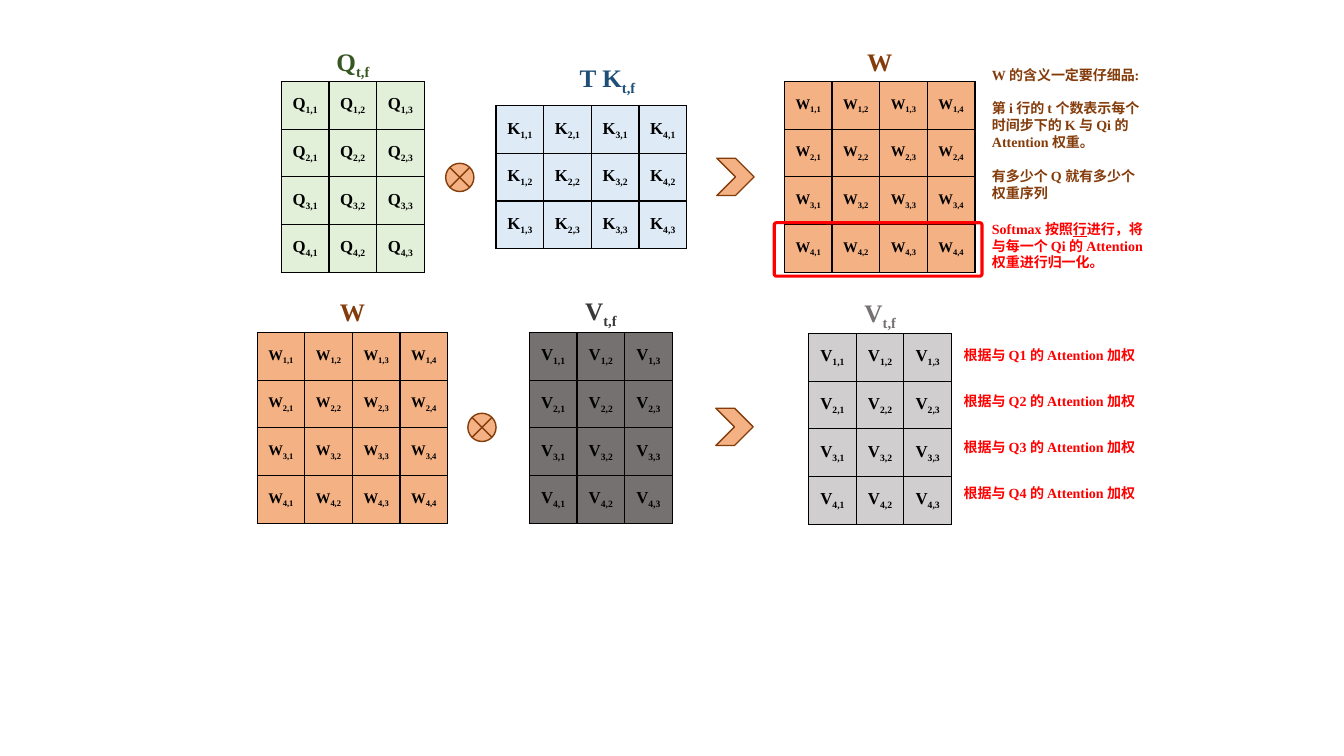
"""Build the attention-weights slide: Q x K gives W, then W x V gives V."""
from lxml import etree
from pptx import Presentation
from pptx.dml.color import RGBColor
from pptx.enum.shapes import MSO_SHAPE
from pptx.enum.text import MSO_ANCHOR, MSO_AUTO_SIZE, PP_ALIGN
from pptx.oxml.ns import qn
from pptx.util import Inches, Pt

FONT = "Times New Roman"
CELL = 1.89 / 4
BLACK, RED, BROWN, ORANGE = "000000", "FF0000", "843C0B", "F4B183"
CENTER, LEFT = PP_ALIGN.CENTER, PP_ALIGN.LEFT
MIDDLE, TOP = MSO_ANCHOR.MIDDLE, MSO_ANCHOR.TOP
GROW = MSO_AUTO_SIZE.SHAPE_TO_FIT_TEXT
TIMES, ARROW = MSO_SHAPE.FLOWCHART_SUMMING_JUNCTION, MSO_SHAPE.CHEVRON
FRAME = MSO_SHAPE.ROUNDED_RECTANGLE

MATRICES = [
    dict(name="Q", x=2.79, y=0.81, rows=4, cols=3, fill="E2F0D9", size=12),
    dict(name="K", x=4.92, y=1.05, rows=3, cols=4, fill="DEEBF7", size=12, transposed=True),
    dict(name="W", x=7.78, y=0.81, rows=4, cols=4, fill=ORANGE, size=10.5),
    dict(name="W", x=2.55, y=3.3, rows=4, cols=4, fill=ORANGE, size=10.5),
    dict(name="V", x=5.25, y=3.3, rows=4, cols=3, fill="767171", size=12),
    dict(name="V", x=8.02, y=3.31, rows=4, cols=3, fill="D0CECE", size=12),
]
TITLES = [
    ("Q", "t,f", 2.79, 0.41, 1.42, "385723"),
    ("T K", "t,f", 5.08, 0.57, 1.89, "1F4E79"),
    ("W", "", 7.78, 0.41, 1.89, BROWN),
    ("W", "", 2.55, 2.89, 1.89, BROWN),
    ("V", "t,f", 5.25, 2.88, 1.42, "3B3838"),
    ("V", "t,f", 8.02, 2.9, 1.42, "767171"),
]
OPERATORS = [
    (TIMES, 4.42, 1.62, 0.28),
    (ARROW, 7.11, 1.57, 0.37),
    (TIMES, 4.64, 4.1, 0.28),
    (ARROW, 7.1, 4.05, 0.37),
]
MEANING = [
    [("W 的含义一定要仔细品:", {})],
    [("第 i 行的 t 个数表示每个时间步下的 K 与 Qi 的 Attention 权重。", {})],
    [("有多少个 Q 就有多少个权重序列", {})],
]
SOFTMAX = [[
    ("Softmax 按照", {}),
    ("行", {"underline": True}),
    ("进行，将与每一个 Qi 的 Attention 权重进行归一化。", {}),
]]
NOTES = [
    (MEANING, 9.74, 0.6, 1.72, 1.45, BROWN),
    (SOFTMAX, 9.74, 2.13, 1.72, 0.61, RED),
] + [
    ([[(f"根据与 Q{i + 1} 的 Attention 加权", {})]], 9.46, 3.39 + i * 0.455, 2.02, 0.27, RED)
    for i in range(4)
]


def rgb(value):
    """Turn a hex string into a colour."""
    return RGBColor.from_string(value)


def box(x, y, w, h):
    """Return left, top, width and height as lengths."""
    return [Inches(v) for v in (x, y, w, h)]


def add_run(p, text, size, color, **extra):
    """Add one bold run."""
    r = p.add_run()
    r.text = text
    for key, value in dict(name=FONT, size=Pt(size), bold=True, **extra).items():
        setattr(r.font, key, value)
    r.font.color.rgb = rgb(color)
    return r


def add_symbol(p, name, index, size, color):
    """Write a symbol with its subscript, centred."""
    p.alignment = CENTER
    add_run(p, name, size, color)
    if index:
        r = add_run(p, index, size, color)
        r.font._element.set("baseline", "-25000")


def add_text_box(x, y, w, h, anchor):
    """Add a wrapping text box and return its frame."""
    tf = s.shapes.add_textbox(*box(x, y, w, h)).text_frame
    for key, value in dict(word_wrap=True, auto_size=GROW, vertical_anchor=anchor).items():
        setattr(tf, key, value)
    return tf


def add_borders(cell):
    """Draw thin black lines on all four sides of a cell."""
    pr = cell._tc.get_or_add_tcPr()
    for i, side in enumerate(("a:lnL", "a:lnR", "a:lnT", "a:lnB")):
        ln = etree.Element(qn(side), w=str(Pt(1)))
        fill = etree.SubElement(ln, qn("a:solidFill"))
        etree.SubElement(fill, qn("a:srgbClr"), val=BLACK)
        pr.insert(i, ln)


def add_matrix(name, x, y, rows, cols, fill, size, transposed=False):
    """Add a table of indexed symbols."""
    frame = s.shapes.add_table(rows, cols, *box(x, y, cols * CELL, rows * CELL))
    table = frame.table
    table.first_row = table.horz_banding = False
    margins = dict.fromkeys(("margin_left", "margin_right", "margin_top", "margin_bottom"), Inches(0.02))
    for i in range(rows):
        for j in range(cols):
            cell = table.cell(i, j)
            for key, value in dict(margins, vertical_anchor=MIDDLE).items():
                setattr(cell, key, value)
            cell.fill.solid()
            cell.fill.fore_color.rgb = rgb(fill)
            add_borders(cell)
            a, b = (j, i) if transposed else (i, j)
            add_symbol(cell.text_frame.paragraphs[0], name, f"{a + 1},{b + 1}", size, BLACK)


def add_note(paragraphs, x, y, w, h, color):
    """Add a left-aligned note with a line's gap between paragraphs."""
    tf = add_text_box(x, y, w, h, MIDDLE)
    for i, runs in enumerate(paragraphs):
        p = tf.add_paragraph() if i else tf.paragraphs[0]
        p.alignment = LEFT
        p.space_before = Pt(12 if i else 0)
        for text, extra in runs:
            add_run(p, text, 10, color, **extra)


def add_outline(kind, x, y, w, h, color, width):
    """Add an unfilled preset shape."""
    sp = s.shapes.add_shape(kind, *box(x, y, w, h))
    sp.shadow.inherit = False
    sp.fill.background()
    sp.line.color.rgb = rgb(color)
    sp.line.width = Pt(width)
    return sp


prs = Presentation()
prs.slide_width, prs.slide_height = Inches(13.33), Inches(7.5)
s = prs.slides.add_slide(prs.slide_layouts[6])

for matrix in MATRICES:
    add_matrix(**matrix)
for name, index, x, y, w, color in TITLES:
    tf = add_text_box(x, y, w, 0.4, TOP)
    add_symbol(tf.paragraphs[0], name, index, 18, color)
for kind, x, y, side in OPERATORS:
    sp = add_outline(kind, x, y, side, side, BROWN, 1)
    sp.fill.solid()
    sp.fill.fore_color.rgb = rgb(ORANGE)
softmax_frame = add_outline(FRAME, 7.68, 2.21, 2.06, 0.53, RED, 2.25)
softmax_frame.adjustments[0] = 0.04
for note in NOTES:
    add_note(*note)

prs.save("out.pptx")
